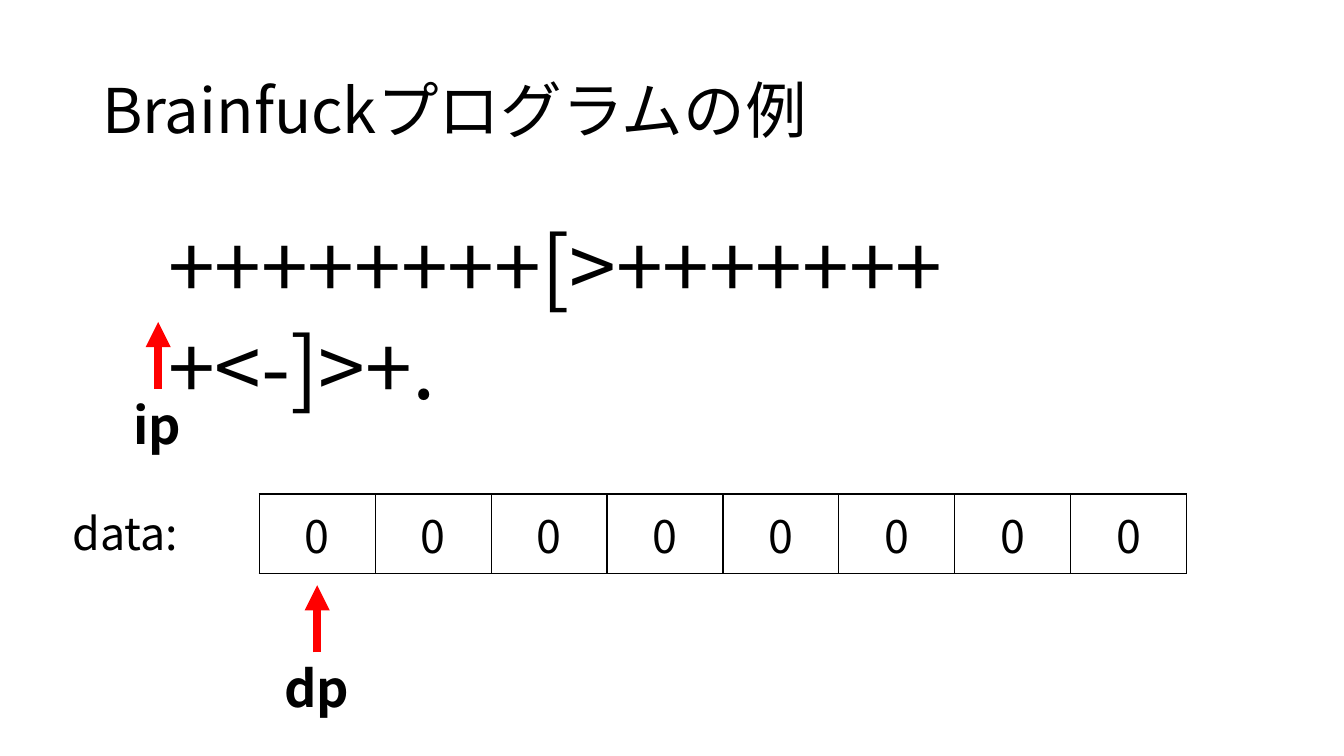
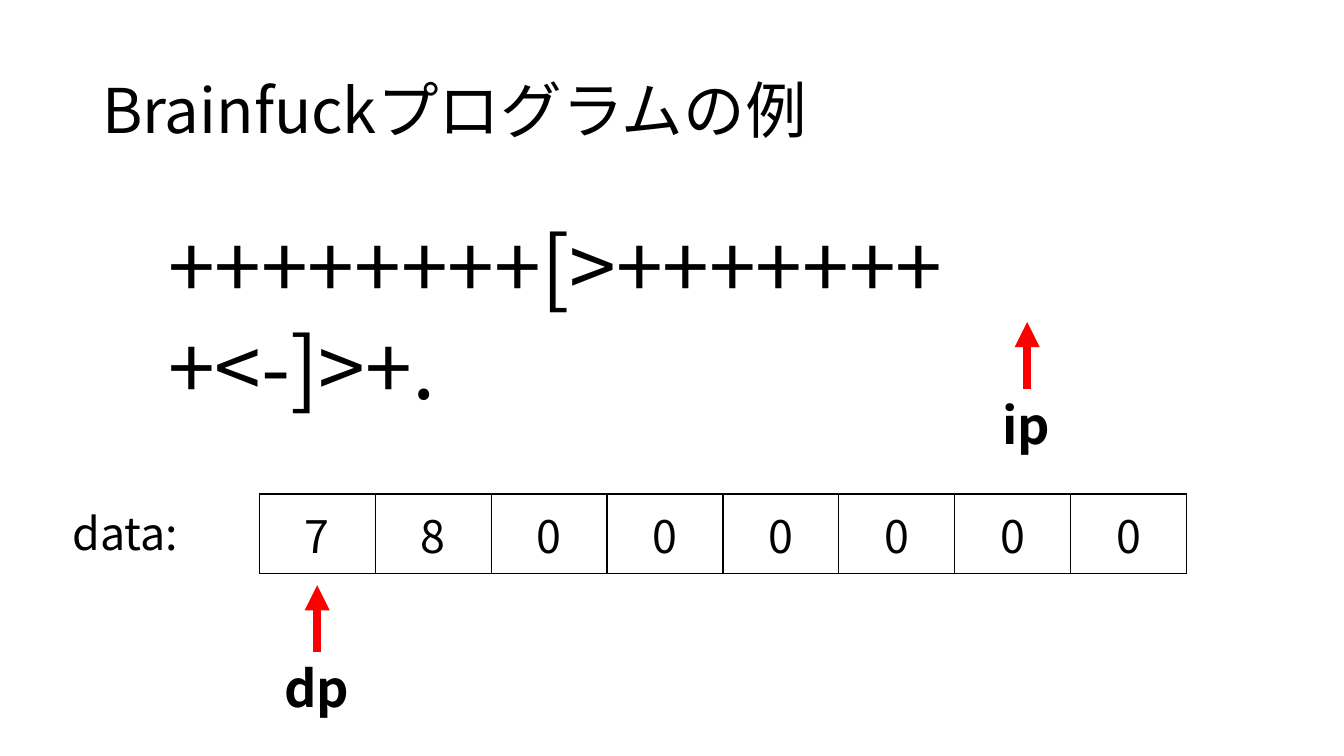
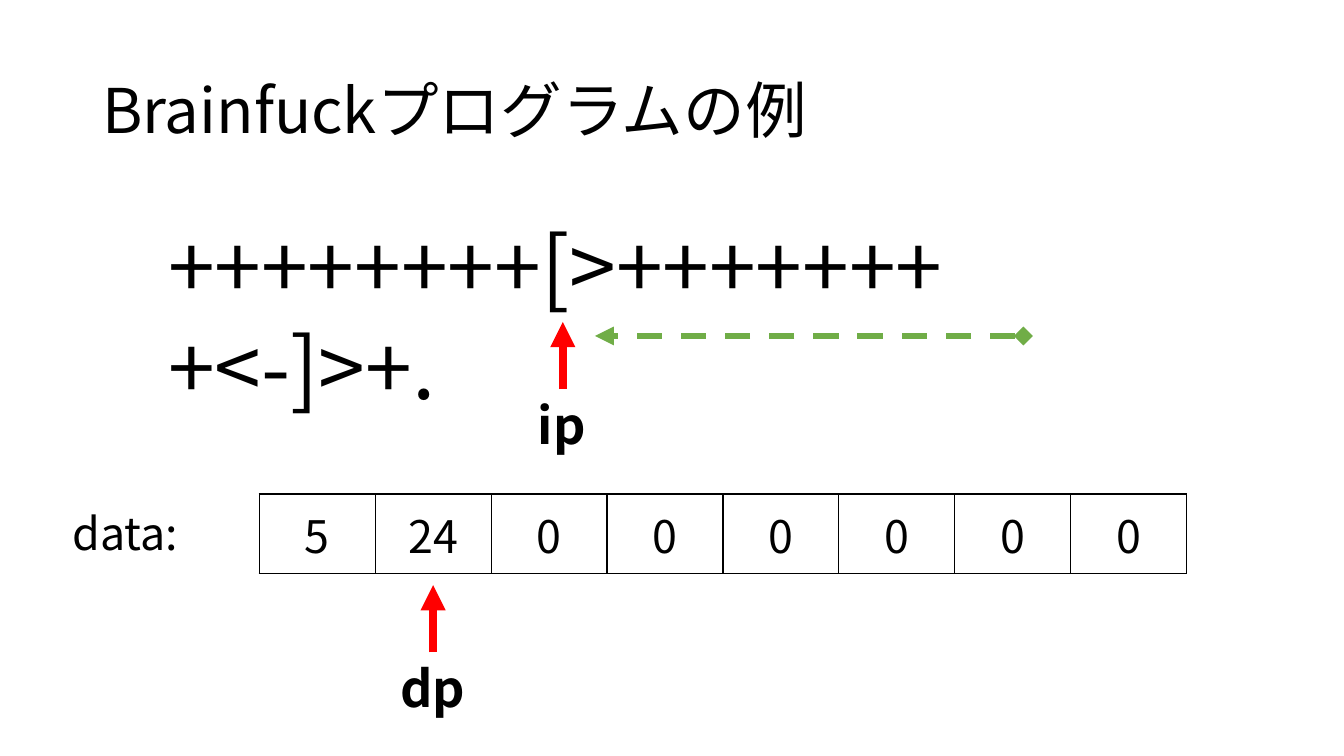
import dataclasses

import pptx
import pptx.dml.color
import pptx.enum.dml
import pptx.enum.shapes
import pptx.enum.text
import pptx.oxml
import pptx.oxml.ns
import pptx.util
from lxml import etree

Pt = pptx.util.Pt
ALIGN = pptx.enum.text.PP_ALIGN
ANCHOR = pptx.enum.text.MSO_ANCHOR
qn = pptx.oxml.ns.qn


@dataclasses.dataclass(frozen=True)
class Theme:
    """Fonts, colours and type sizes shared by the slides."""
    font: str = "Noto Sans CJK JP"
    ink: str = "000000"
    pointer: str = "FF0000"
    jump: str = "70AD47"
    title: int = 44
    code: int = 60
    data: int = 32
    label: int = 36


THEME = Theme()
TITLE = "Brainfuckプログラムの例"
PROGRAM = "++++++++[>++++++++<-]>+."
TAPE_LEFT, TAPE_TOP, CELL_WIDTH, CELL_HEIGHT = 185.2, 352.8, 82.8, 56.9
POINTER_LENGTH, LABEL_HEIGHT = 48, 51
IP_TOP, IP_WIDTH = 230, 49.6
DP_TOP, DP_WIDTH = 418, 61.2


def color(value):
    """Turn a hex string into a colour."""
    return pptx.dml.color.RGBColor.from_string(value)


def write_text(frame, text, size, bold=False, align=ALIGN.LEFT, spacing=None):
    """Write one formatted paragraph into a text frame."""
    paragraph = frame.paragraphs[0]
    paragraph.alignment = align
    if spacing:
        paragraph.line_spacing = spacing
    run = paragraph.add_run()
    run.text = text
    run.font.size = Pt(size)
    run.font.bold = bold
    run.font.name = THEME.font
    run.font.color.rgb = color(THEME.ink)
    east_asian = etree.SubElement(run.font._element, qn("a:ea"))
    east_asian.set("typeface", THEME.font)


def add_text(shapes, text, box, size, anchor=ANCHOR.TOP, **text_format):
    """Add a wrapping text box and return it."""
    shape = shapes.add_textbox(*map(Pt, box))
    shape.text_frame.word_wrap = True
    shape.text_frame.vertical_anchor = anchor
    write_text(shape.text_frame, text, size, **text_format)
    return shape


def add_arrow(shapes, start, end, line_color, width, dash=None, head=None):
    """Add a straight arrow and return its connector."""
    connector = shapes.add_connector(
        pptx.enum.shapes.MSO_CONNECTOR.STRAIGHT, *map(Pt, start + end))
    connector.line.color.rgb = color(line_color)
    connector.line.width = Pt(width)
    if dash:
        connector.line.dash_style = dash
    properties = connector._element.spPr
    outline = properties.find(qn("a:ln"))
    if head:
        etree.SubElement(outline, qn("a:headEnd")).set("type", head)
    etree.SubElement(outline, qn("a:tailEnd")).set("type", "triangle")
    etree.SubElement(properties, qn("a:effectLst"))
    return connector


def add_pointer(slide, name, center, top, width):
    """Add a grouped red arrow with its label below."""
    shapes = slide.shapes.add_group_shape().shapes
    base = top + POINTER_LENGTH
    arrow = add_arrow(shapes, (center, base), (center, top), THEME.pointer, 6)
    box = (center - width / 2, base, width, LABEL_HEIGHT)
    label = add_text(shapes, name, box, THEME.label, bold=True)
    arrow.begin_connect(label, 0)


def set_borders(cell):
    """Draw a thin border on each side of a table cell."""
    properties = cell._tc.get_or_add_tcPr()
    for side in ("a:lnL", "a:lnR", "a:lnT", "a:lnB"):
        border = etree.SubElement(properties, qn(side), w=str(Pt(1)))
        fill = etree.SubElement(border, qn("a:solidFill"))
        etree.SubElement(fill, qn("a:srgbClr")).set("val", THEME.ink)


def add_tape(slide, values):
    """Add the data cells as a one-row table."""
    table = slide.shapes.add_table(
        1, len(values), Pt(TAPE_LEFT), Pt(TAPE_TOP),
        Pt(CELL_WIDTH * len(values)), Pt(CELL_HEIGHT)).table
    table.first_row = table.horz_banding = False
    for column, value in enumerate(values):
        table.columns[column].width = Pt(CELL_WIDTH)
        cell = table.cell(0, column)
        cell.vertical_anchor = ANCHOR.MIDDLE
        set_borders(cell)
        cell.fill.background()
        write_text(cell.text_frame, str(value), THEME.data, align=ALIGN.CENTER)


def add_step(presentation, values, instruction_x, data_index):
    """Add a slide showing one state of the program."""
    slide = presentation.slides.add_slide(presentation.slide_layouts[6])
    add_text(slide.shapes, TITLE, (66, 28.8, 828, 104.4), THEME.title,
             anchor=ANCHOR.MIDDLE, spacing=0.9)
    add_tape(slide, values)
    add_text(slide.shapes, PROGRAM, (113, 149.8, 734.4, 80), THEME.code)
    add_text(slide.shapes, "data:", (44.6, 357.8, 109.4, 46), THEME.data)
    add_pointer(slide, "ip", instruction_x, IP_TOP, IP_WIDTH)
    data_x = TAPE_LEFT + CELL_WIDTH * (data_index + 0.5)
    add_pointer(slide, "dp", data_x, DP_TOP, DP_WIDTH)
    return slide


def main():
    """Build and save the presentation."""
    presentation = pptx.Presentation()
    presentation.slide_width, presentation.slide_height = Pt(960), Pt(540)
    rest = [0] * 6
    add_step(presentation, [0, 0] + rest, 113, 0)
    add_step(presentation, [7, 8] + rest, 733.7, 0)
    loop_slide = add_step(presentation, [5, 24] + rest, 402, 1)
    add_arrow(loop_slide.shapes, (731, 240), (425, 240), THEME.jump, 4.5,
              dash=pptx.enum.dml.MSO_LINE.DASH, head="diamond")
    presentation.save("out.pptx")


if __name__ == "__main__":
    main()
